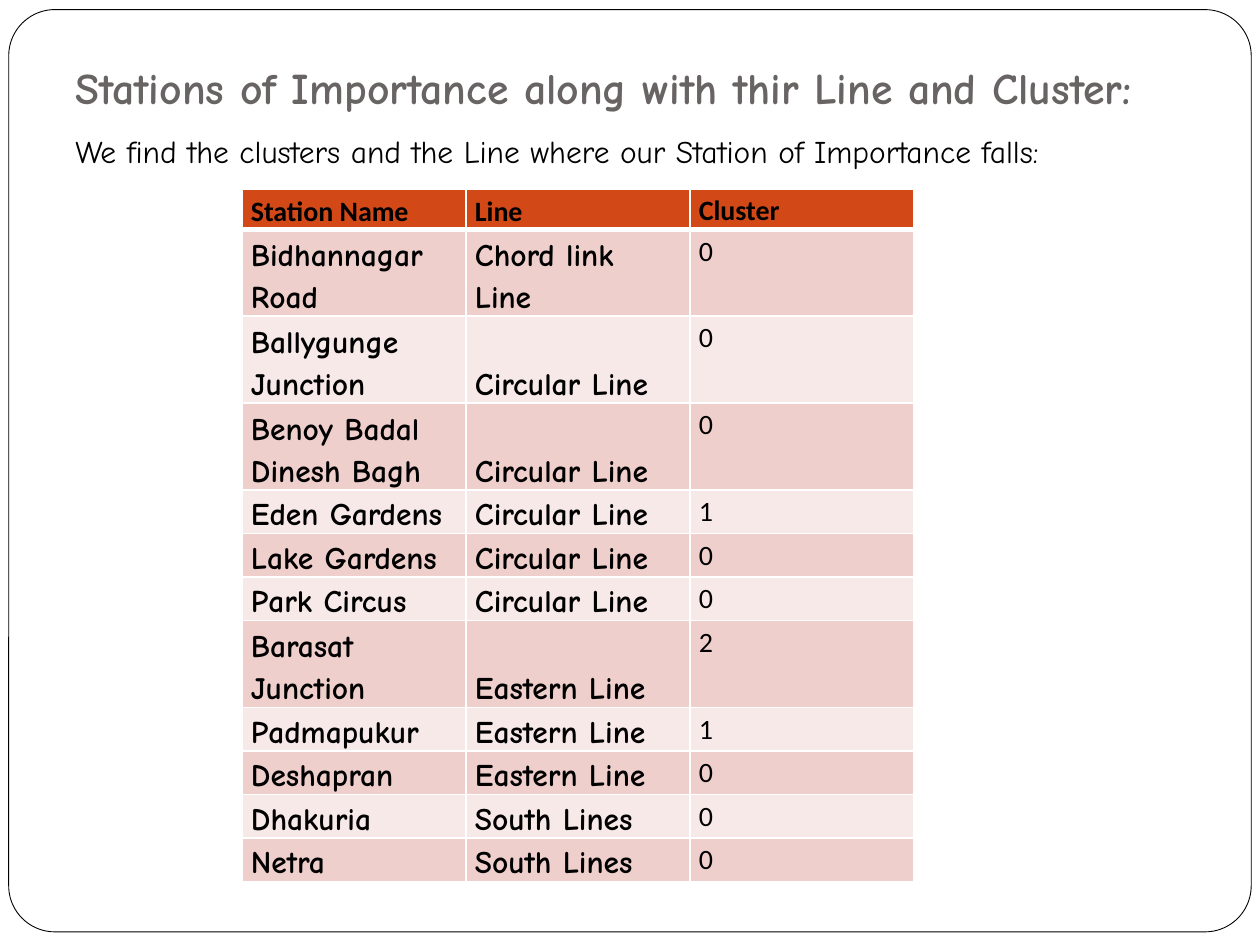
from lxml.etree import SubElement
from pptx import Presentation
from pptx.dml.color import RGBColor
from pptx.enum.shapes import MSO_SHAPE as Shape
from pptx.enum.text import MSO_ANCHOR as Anchor
from pptx.oxml.ns import qn
from pptx.util import Pt


def color(value):
    return RGBColor.from_string(value)


def add_run(paragraph, text, font, size, bold=False, ink="000000"):
    run = paragraph.add_run()
    run.text = text
    run.font.name = font
    run.font.size = Pt(size)
    run.font.bold = bold
    run.font.color.rgb = color(ink)


prs = Presentation()
prs.slide_width, prs.slide_height = Pt(720), Pt(540)
slide = prs.slides.add_slide(prs.slide_layouts[6])

frame = slide.shapes.add_shape(
    Shape.ROUNDED_RECTANGLE, Pt(5), Pt(5.5), Pt(710), Pt(527))
frame.adjustments[0] = 0.05
frame.shadow.inherit = False
frame.fill.solid()
frame.fill.fore_color.rgb = color("FFFFFF")
frame.line.color.rgb = color("000000")
frame.line.width = Pt(0.5)

headings = [
    ("Stations of Importance along with thir Line and Cluster:",
     21.6, 50.4, Anchor.BOTTOM, 7.2, 0, 25, True, "696464"),
    ("We find the clusters and the Line where our Station of Importance falls:",
     72, 356.4, Anchor.TOP, 3.6, 5.8, 18, False, "000000"),
]
for text, top, height, anchor, bottom_inset, before, size, bold, ink in headings:
    heading = slide.shapes.add_textbox(Pt(36), Pt(top), Pt(648), Pt(height))
    body = heading.text_frame
    body.word_wrap = True
    body.vertical_anchor = anchor
    body.margin_bottom = Pt(bottom_inset)
    body.paragraphs[0].space_before = Pt(before)
    add_run(body.paragraphs[0], text, "Comic Neue", size, bold, ink)

stations = [
    ("Station Name", "Line", "Cluster"),
    ("Bidhannagar Road", "Chord link Line", "0"),
    ("Ballygunge Junction", "Circular Line", "0"),
    ("Benoy Badal Dinesh Bagh", "Circular Line", "0"),
    ("Eden Gardens", "Circular Line", "1"),
    ("Lake Gardens", "Circular Line", "0"),
    ("Park Circus", "Circular Line", "0"),
    ("Barasat Junction", "Eastern Line", "2"),
    ("Padmapukur", "Eastern Line", "1"),
    ("Deshapran", "Eastern Line", "0"),
    ("Dhakuria", "South Lines", "0"),
    ("Netra", "South Lines", "0"),
]
row_height = 23
table = slide.shapes.add_table(
    len(stations), 3, Pt(138.2), Pt(108), Pt(384),
    Pt(row_height * len(stations))).table
for column in table.columns:
    column.width = Pt(128)

for r, station in enumerate(stations):
    table.rows[r].height = Pt(row_height)
    is_header = r == 0
    band = "D34817" if is_header else ("F7E9E8", "EFCFCC")[r % 2]
    for c, text in enumerate(station):
        is_cluster = c == 2
        cell = table.cell(r, c)
        cell.margin_left = cell.margin_right = Pt(5.2)
        cell.margin_top = cell.margin_bottom = 0
        cell.vertical_anchor = Anchor.TOP if is_cluster else Anchor.BOTTOM
        props = cell._tc.get_or_add_tcPr()
        for side in ("lnL", "lnR", "lnT", "lnB"):
            weight = 3 if is_header and side == "lnB" else 1
            border = SubElement(props, qn(f"a:{side}"), w=str(Pt(weight)))
            paint = SubElement(border, qn("a:solidFill"))
            SubElement(paint, qn("a:srgbClr"), val="FFFFFF")
        cell.fill.solid()
        cell.fill.fore_color.rgb = color(band)
        paragraph = cell.text_frame.paragraphs[0]
        paragraph.line_spacing = 1.15
        if is_header or is_cluster:
            add_run(paragraph, text, "Calibri", 16, is_header)
        else:
            add_run(paragraph, text, "Comic Neue", 18, True)

prs.save("out.pptx")
